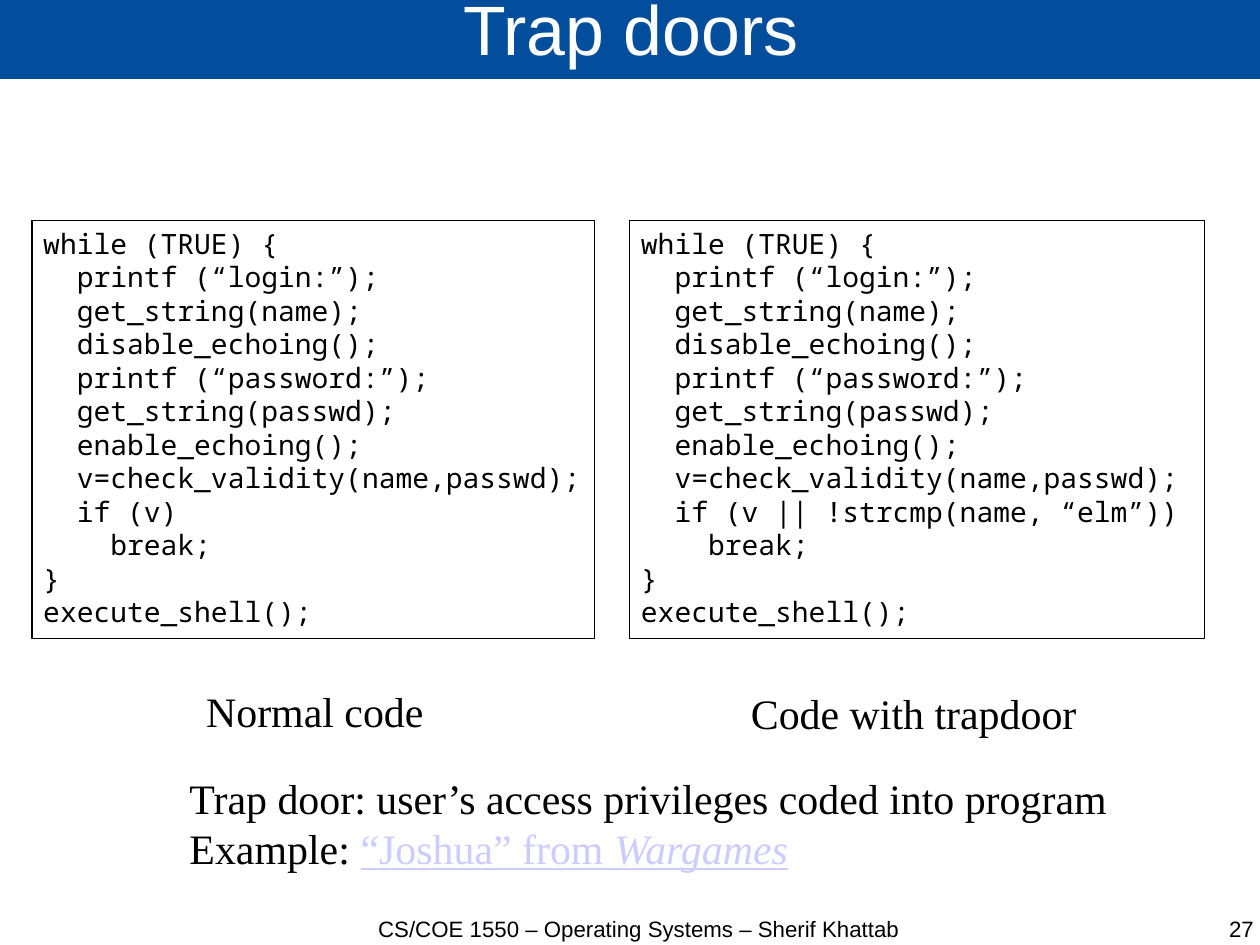
from dataclasses import dataclass
from typing import Any

from lxml.etree import SubElement
from pptx import Presentation
from pptx.dml.color import RGBColor
from pptx.enum.shapes import MSO_SHAPE
from pptx.enum.text import MSO_ANCHOR, MSO_AUTO_SIZE, PP_ALIGN
from pptx.oxml.ns import qn
from pptx.util import Inches, Pt

COLORS = {
    "banner": "024E9D",
    "title": "FFFFFF",
    "ink": "000000",
    "reference": "CCCCFF",
}

CM_PER_INCH = 2.54
SLIDE_WIDTH, SLIDE_HEIGHT = 28 / CM_PER_INCH, 21 / CM_PER_INCH
CODE_TOP, CODE_HEIGHT = 1.93, 3.66
FOOTER_TOP, FOOTER_HEIGHT = 8.01, 0.55

LOGIN_CODE = """while (TRUE) {{
  printf (“login:”);
  get_string(name);
  disable_echoing();
  printf (“password:”);
  get_string(passwd);
  enable_echoing();
  v=check_validity(name,passwd);
  if ({condition})
    break;
}}
execute_shell();"""

NO_MARGINS = {
    "margin_left": 0,
    "margin_right": 0,
    "margin_top": 0,
    "margin_bottom": 0,
}
FOOTER_FRAME = {**NO_MARGINS, "word_wrap": True}
CAPTION_FRAME = {"word_wrap": False, "auto_size": MSO_AUTO_SIZE.SHAPE_TO_FIT_TEXT}
CODE_FRAME = {
    "word_wrap": True,
    "auto_size": MSO_AUTO_SIZE.SHAPE_TO_FIT_TEXT,
    "vertical_anchor": MSO_ANCHOR.TOP,
}
TITLE_FRAME = {
    **NO_MARGINS,
    "word_wrap": True,
    "auto_size": MSO_AUTO_SIZE.NONE,
    "vertical_anchor": MSO_ANCHOR.MIDDLE,
}

TITLE_FONT = {"name": "Arial", "size": Pt(44)}
FOOTER_FONT = {"name": "Arial", "size": Pt(14)}
CODE_FONT = {"name": "Noto Sans Mono", "size": Pt(17.6)}
CAPTION_FONT = {"name": "Times New Roman", "size": Pt(26.4)}
REFERENCE_FONT = {**CAPTION_FONT, "underline": True}


@dataclass(frozen=True)
class Phrase:
    text: str
    font: dict[str, Any]
    color: str = "ink"


@dataclass(frozen=True)
class Label:
    left: float
    top: float
    width: float
    height: float
    phrases: list[Phrase]
    frame: dict[str, Any]
    align: PP_ALIGN = PP_ALIGN.CENTER


@dataclass(frozen=True)
class CodePanel:
    left: float
    width: float
    condition: str


CODE_PANELS = [
    CodePanel(0.28, 4.92, "v"),
    CodePanel(5.51, 5.03, "v || !strcmp(name, “elm”)"),
]

FOOTERS = [
    Label(3.07, FOOTER_TOP, 5.04, FOOTER_HEIGHT,
          [Phrase("CS/COE 1550 – Operating Systems – Sherif Khattab", FOOTER_FONT)],
          FOOTER_FRAME),
    Label(8.44, FOOTER_TOP, 2.53, FOOTER_HEIGHT,
          [Phrase("27", FOOTER_FONT)], FOOTER_FRAME, PP_ALIGN.RIGHT),
]

CAPTIONS = [
    Label(1.69, 5.95, 2.13, 0.55,
          [Phrase("Normal code", CAPTION_FONT)], CAPTION_FRAME),
    Label(6.45, 5.97, 3.09, 0.55,
          [Phrase("Code with trapdoor", CAPTION_FONT)], CAPTION_FRAME),
    Label(1.56, 6.71, 8.33, 0.99,
          [
              Phrase("Trap door: user’s access privileges coded into program\nExample: ",
                     CAPTION_FONT),
              Phrase("“Joshua” from ", REFERENCE_FONT, "reference"),
              Phrase("Wargames", {**REFERENCE_FONT, "italic": True}, "reference"),
          ],
          CAPTION_FRAME, PP_ALIGN.LEFT),
]


def rgb(color: str) -> RGBColor:
    return RGBColor.from_string(COLORS[color])


def apply_format(target: Any, values: dict[str, Any]) -> None:
    for attribute, value in values.items():
        setattr(target, attribute, value)


def write(shape: Any, phrases: list[Phrase], frame: dict[str, Any],
          align: PP_ALIGN) -> None:
    apply_format(shape.text_frame, frame)
    paragraph = shape.text_frame.paragraphs[0]
    paragraph.alignment = align
    for phrase in phrases:
        for index, line in enumerate(phrase.text.split("\n")):
            if index:
                paragraph.add_line_break()
            run = paragraph.add_run()
            run.text = line
            apply_format(run.font, phrase.font)
            run.font.color.rgb = rgb(phrase.color)
            for script in ("a:ea", "a:cs"):
                SubElement(run.font._element, qn(script), typeface=phrase.font["name"])


def place_title(slide: Any) -> None:
    title = slide.shapes.title
    apply_format(title, {"left": 0, "top": Inches(-0.02),
                         "width": Inches(11.04), "height": Inches(0.71)})
    title.fill.solid()
    title.fill.fore_color.rgb = rgb("banner")
    write(title, [Phrase("Trap doors", TITLE_FONT, "title")], TITLE_FRAME,
          PP_ALIGN.CENTER)
    title.text_frame.paragraphs[0].line_spacing = 0.69


def draw_code(slide: Any, panel: CodePanel) -> None:
    box = slide.shapes.add_shape(
        MSO_SHAPE.RECTANGLE, Inches(panel.left), Inches(CODE_TOP),
        Inches(panel.width), Inches(CODE_HEIGHT))
    box.shadow.inherit = False
    box.fill.background()
    box.line.color.rgb = rgb("ink")
    box.line.width = Pt(0.75)
    code = LOGIN_CODE.format(condition=panel.condition)
    write(box, [Phrase(code, CODE_FONT)], CODE_FRAME, PP_ALIGN.LEFT)


def draw_label(slide: Any, label: Label) -> None:
    box = slide.shapes.add_textbox(
        Inches(label.left), Inches(label.top),
        Inches(label.width), Inches(label.height))
    write(box, label.phrases, label.frame, label.align)


def main() -> None:
    presentation = Presentation()
    presentation.slide_width = Inches(SLIDE_WIDTH)
    presentation.slide_height = Inches(SLIDE_HEIGHT)
    title_only = presentation.slide_layouts.get_by_name("Title Only")
    slide = presentation.slides.add_slide(title_only)
    place_title(slide)
    for footer in FOOTERS:
        draw_label(slide, footer)
    for panel in CODE_PANELS:
        draw_code(slide, panel)
    for caption in CAPTIONS:
        draw_label(slide, caption)
    presentation.save("out.pptx")


if __name__ == "__main__":
    main()
